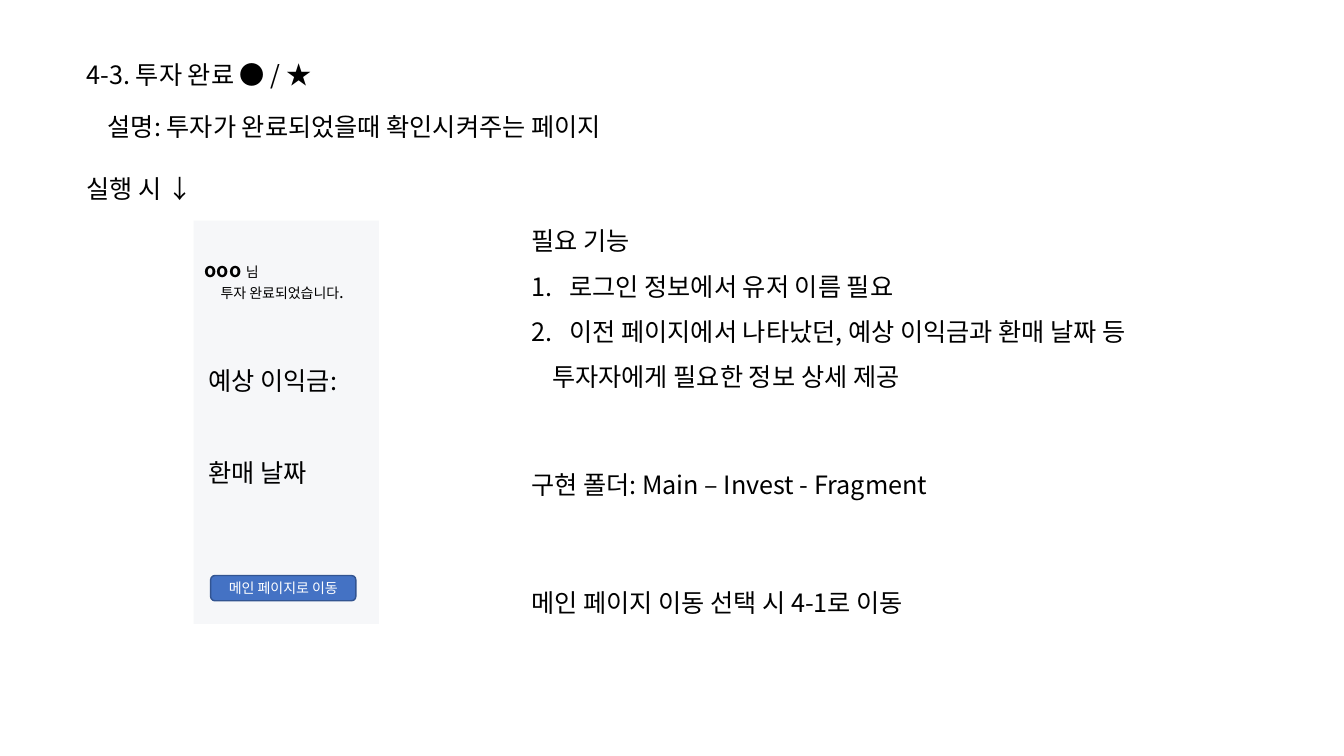
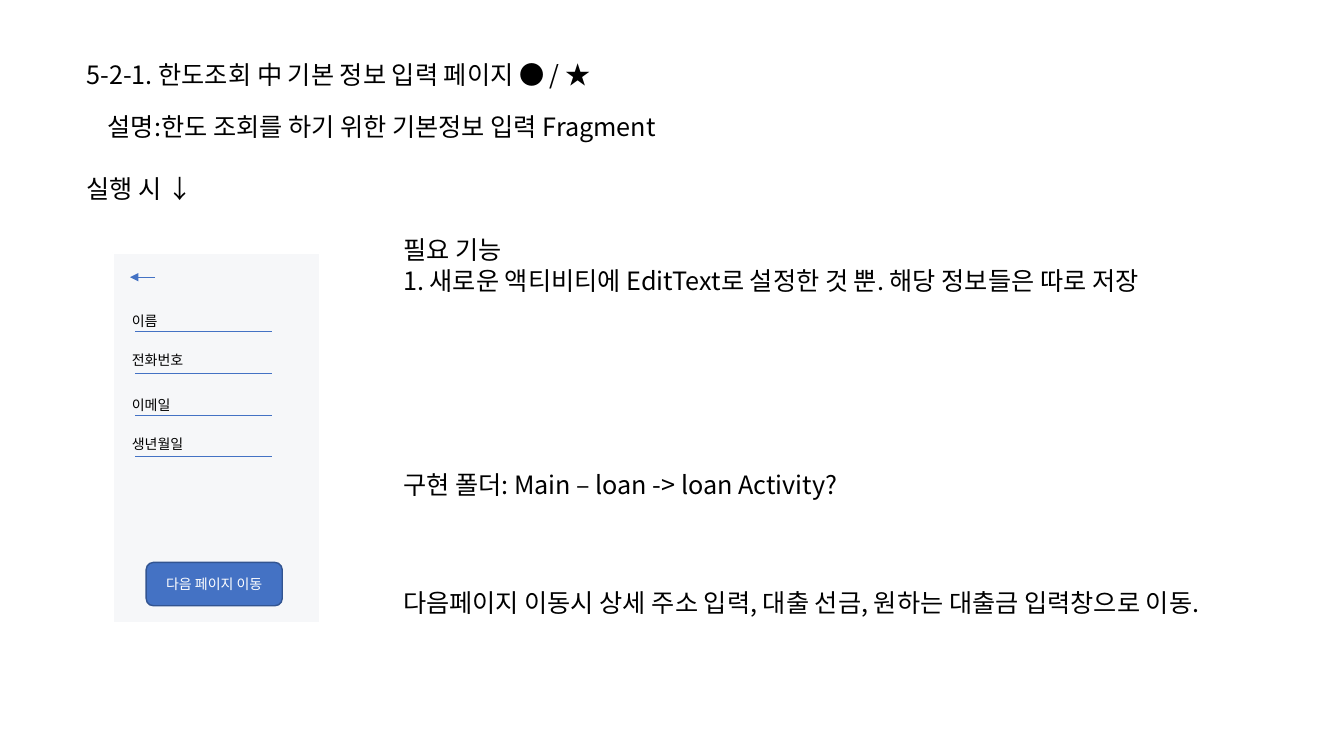
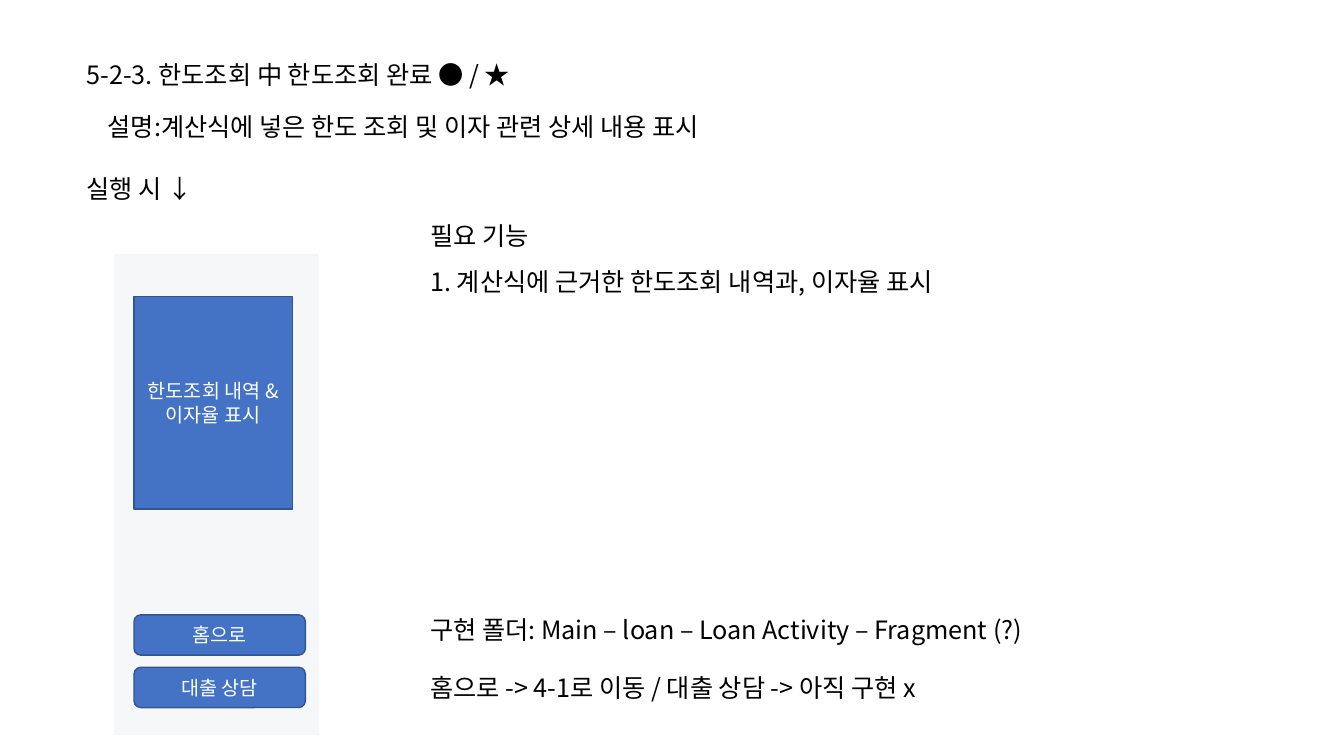
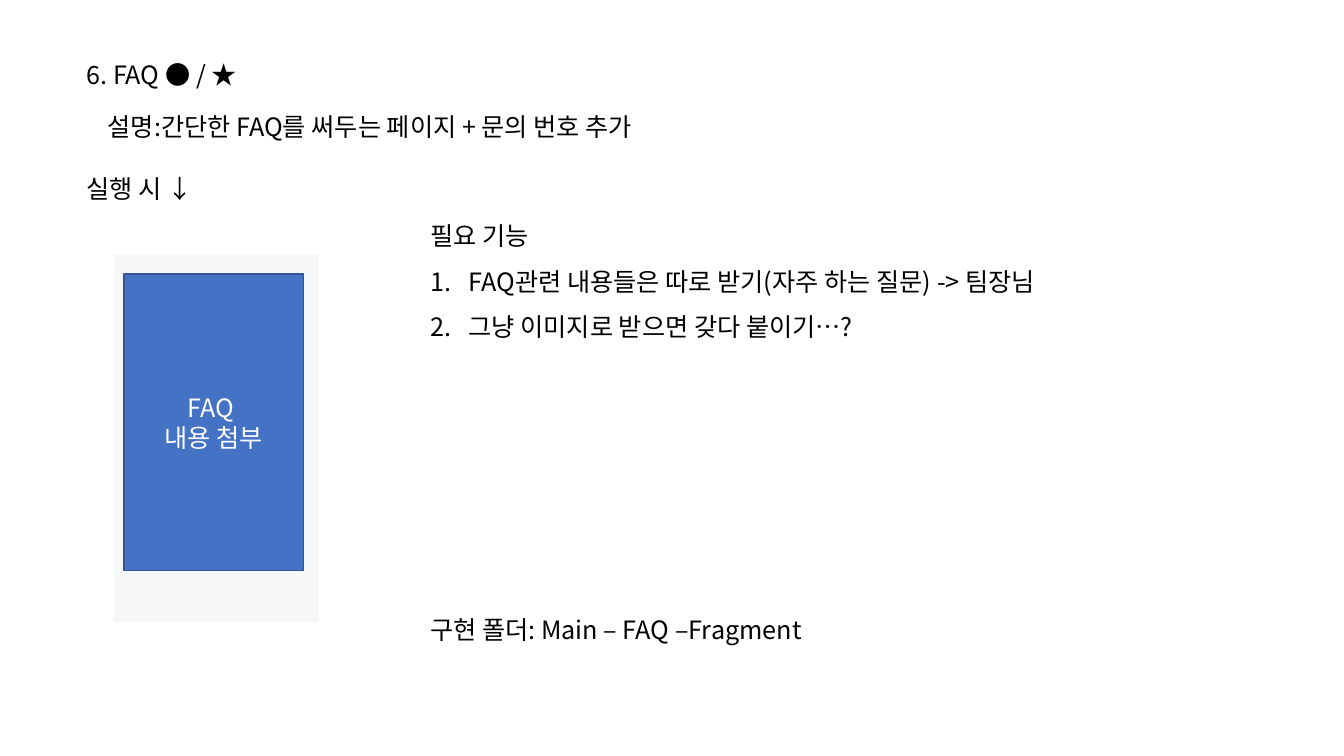
"""Build four app planning slides, each with a phone sketch and its notes."""
from dataclasses import dataclass

from lxml import etree
from pptx import Presentation
from pptx import util as u
from pptx.dml.color import RGBColor
from pptx.enum import shapes, text
from pptx.oxml.ns import qn

CELL = u.Inches(0.1)
COLUMNS, ROWS = 133.33, 75
FONT = "Noto Sans CJK KR"
BODY, BUTTON, SMALL = 18, 14, 10
BLACK = RGBColor(0x00, 0x00, 0x00)
WHITE = RGBColor(0xFF, 0xFF, 0xFF)
SCREEN = RGBColor(0xF6, 0xF7, 0xF9)
BLUE = RGBColor(0x44, 0x72, 0xC4)
NAVY = RGBColor(0x32, 0x54, 0x91)
RECT = shapes.MSO_SHAPE.RECTANGLE
ROUND = shapes.MSO_SHAPE.ROUNDED_RECTANGLE
ONE_ROW = 4
PHONE = (11.2, 25.1, 20.5, 36.7)


@dataclass
class Line:
    """A paragraph: (text, size, bold) phrases, a left indent, perhaps a number."""
    phrases: list
    indent: float = 0
    numbered: bool = False


def plain(words, size=BODY, indent=0):
    """Return a paragraph in one style."""
    return Line([(words, size, False)], indent)


def step(words):
    """Return an automatically numbered paragraph."""
    return Line([(words, BODY, False)], 3.8, True)


def cells(*counts):
    """Turn grid counts into lengths."""
    return [u.Emu(round(count * CELL)) for count in counts]


def write(frame, lines, color, align=None, spacing=None):
    """Fill a text frame with formatted paragraphs."""
    for index, line in enumerate(lines):
        paragraph = frame.paragraphs[0] if index == 0 else frame.add_paragraph()
        paragraph.alignment = align
        paragraph.line_spacing = spacing
        for words, size, bold in line.phrases:
            run = paragraph.add_run()
            run.text = words
            run.font.size = u.Pt(size)
            run.font.bold = bold
            run.font.name = FONT
            run.font.color.rgb = color
            etree.SubElement(run.font._element, qn("a:ea")).set("typeface", FONT)
        if line.indent:
            margin = cells(line.indent)[0]
            properties = paragraph._p.get_or_add_pPr()
            properties.set("marL", str(margin))
            properties.set("indent", str(-margin if line.numbered else 0))
            if line.numbered:
                number = etree.SubElement(properties, qn("a:buAutoNum"))
                number.set("type", "arabicPeriod")


def note(slide, box, *lines, spacing=None):
    """Add free text that sits on the grid."""
    frame = slide.shapes.add_textbox(*cells(*box)).text_frame
    frame.word_wrap = False
    frame.auto_size = text.MSO_AUTO_SIZE.SHAPE_TO_FIT_TEXT
    write(frame, lines, BLACK, spacing=spacing)


def panel(slide, box, *lines, outline=NAVY, fill=BLUE, kind=RECT):
    """Add a filled block with centred text."""
    block = slide.shapes.add_shape(kind, *cells(*box))
    block.shadow.inherit = False
    block.fill.solid()
    block.fill.fore_color.rgb = fill
    if outline is None:
        block.line.fill.background()
    else:
        block.line.color.rgb = outline
        block.line.width = u.Pt(1)
    block.text_frame.vertical_anchor = text.MSO_ANCHOR.MIDDLE
    write(block.text_frame, lines, WHITE, text.PP_ALIGN.CENTER)


def button(slide, box, label, size):
    """Add a rounded button."""
    panel(slide, box, plain(label, size), kind=ROUND)


def phone(slide, box=PHONE, outline=WHITE):
    """Add the empty phone screen."""
    panel(slide, box, outline=outline, fill=SCREEN)


def rule(slide, start, end, row, arrow=False):
    """Add a thin horizontal line, with an arrowhead at its end if asked."""
    line = slide.shapes.add_connector(
        shapes.MSO_CONNECTOR.STRAIGHT, *cells(start, row, end, row))
    line.line.color.rgb = BLUE
    line.line.width = u.Pt(0.5)
    if arrow:
        etree.SubElement(line.line._get_or_add_ln(), qn("a:tailEnd")).set("type", "triangle")
    etree.SubElement(line._element.spPr, qn("a:effectLst"))


def page(deck, title, title_width, summary, summary_width):
    """Add a slide with the shared heading."""
    slide = deck.slides.add_slide(deck.slide_layouts[6])
    note(slide, (7.6, 5.4, title_width, ONE_ROW), plain(title))
    note(slide, (9.7, 10.6, summary_width, ONE_ROW), plain(summary))
    note(slide, (7.6, 16.7, 13.8, ONE_ROW), plain("실행 시 ↓"))
    return slide


def invest_done(deck):
    """Add the page on a completed investment."""
    slide = page(deck, "4-3. 투자 완료 ● / ★", 27,
                 "설명: 투자가 완료되었을때 확인시켜주는 페이지", 56.6)
    left = 51.7
    note(slide, (left, 20.4, 68.2, 18.6), plain("필요 기능"),
         step("로그인 정보에서 유저 이름 필요"),
         step("이전 페이지에서 나타났던, 예상 이익금과 환매 날짜 등"),
         plain("투자자에게 필요한 정보 상세 제공", indent=2.1), spacing=1.5)
    note(slide, (left, 46.1, 43.6, ONE_ROW), plain("구현 폴더: Main – Invest - Fragment"))
    note(slide, (left, 57.8, 44, ONE_ROW), plain("메인 페이지 이동 선택 시 4-1로 이동"))
    phone(slide, (19.2, 21.9, 18.4, 40), outline=None)
    note(slide, (19.3, 25.1, 17.5, 5.4),
         Line([("ooo ", BUTTON, True), ("님", SMALL, False)]),
         Line([("투자 완료되었습니다", SMALL, False), (".", 12, False)], 1.6))
    note(slide, (19.7, 35.8, 16.1, ONE_ROW), plain("예상 이익금:"))
    note(slide, (19.7, 44.9, 13, ONE_ROW), plain("환매 날짜"))
    button(slide, (20.9, 57.1, 14.4, 2.5), "메인 페이지로 이동", SMALL)


def basic_info(deck):
    """Add the page on entering basic information."""
    slide = page(deck, "5-2-1. 한도조회 中 기본 정보 입력 페이지 ● / ★", 59.1,
                 "설명:한도 조회를 하기 위한 기본정보 입력 Fragment", 61.8)
    left = 39
    note(slide, (left, 22.8, 82.8, 7.1), plain("필요 기능"),
         plain("1. 새로운 액티비티에 EditText로 설정한 것 뿐. 해당 정보들은 따로 저장"))
    note(slide, (left, 46.1, 48.7, ONE_ROW), plain("구현 폴더: Main – loan -> loan Activity?"))
    note(slide, (left, 57.8, 91.8, ONE_ROW),
         plain("다음페이지 이동시 상세 주소 입력, 대출 선금, 원하는 대출금 입력창으로 이동."))
    phone(slide)
    rule(slide, 15.4, 12.9, 27.5, arrow=True)
    fields = [("이름", 4.8, 30.5), ("전화번호", 7.6, 34.4),
              ("이메일", 6.2, 38.8), ("생년월일", 7.6, 42.7)]
    for index, (label, width, top) in enumerate(fields):
        rule(slide, 13.4, 27, 32.9 + 4.13 * index)
        note(slide, (12.1, top, width, 2.7), plain(label, SMALL))
    button(slide, (14.5, 55.8, 13.5, 4.3), "다음 페이지 이동", SMALL)


def limit_result(deck):
    """Add the page on the loan limit result."""
    slide = page(deck, "5-2-3. 한도조회 中 한도조회 완료 ● / ★", 49.8,
                 "설명:계산식에 넣은 한도 조회 및 이자 관련 상세 내용 표시", 69.6)
    left = 41.7
    note(slide, (left, 19.9, 59.6, 9.5), plain("필요 기능"),
         plain("1. 계산식에 근거한 한도조회 내역과, 이자율 표시"), spacing=1.5)
    note(slide, (left, 60.5, 63.7, ONE_ROW),
         plain("구현 폴더: Main – loan – Loan Activity – Fragment (?)"))
    note(slide, (left, 66.2, 57.9, ONE_ROW),
         plain("홈으로 -> 4-1로 이동 / 대출 상담 -> 아직 구현 x"))
    phone(slide, (*PHONE[:3], 47.9))
    panel(slide, (13.3, 29.4, 15.7, 21.1), plain("한도조회 내역 & 이자율 표시", BUTTON))
    for index, label in enumerate(["홈으로", "대출 상담"]):
        button(slide, (13.3, 61 + 5.2 * index, 17, ONE_ROW), label, BUTTON)


def faq(deck):
    """Add the FAQ page."""
    slide = page(deck, "6. FAQ ● / ★", 19.2,
                 "설명:간단한 FAQ를 써두는 페이지 + 문의 번호 추가", 60.7)
    left = 41.7
    note(slide, (left, 19.9, 69.1, 14.1), plain("필요 기능"),
         step("FAQ관련 내용들은 따로 받기(자주 하는 질문) -> 팀장님"),
         step("그냥 이미지로 받으면 갖다 붙이기…?"), spacing=1.5)
    note(slide, (left, 60.5, 41, ONE_ROW), plain("구현 폴더: Main – FAQ –Fragment"))
    phone(slide)
    panel(slide, (12.3, 27.2, 17.8, 29.4), plain("FAQ "), plain("내용 첨부"))


def main():
    """Build and save the deck."""
    deck = Presentation()
    deck.slide_width, deck.slide_height = cells(COLUMNS, ROWS)
    for build in (invest_done, basic_info, limit_result, faq):
        build(deck)
    deck.save("out.pptx")


if __name__ == "__main__":
    main()
